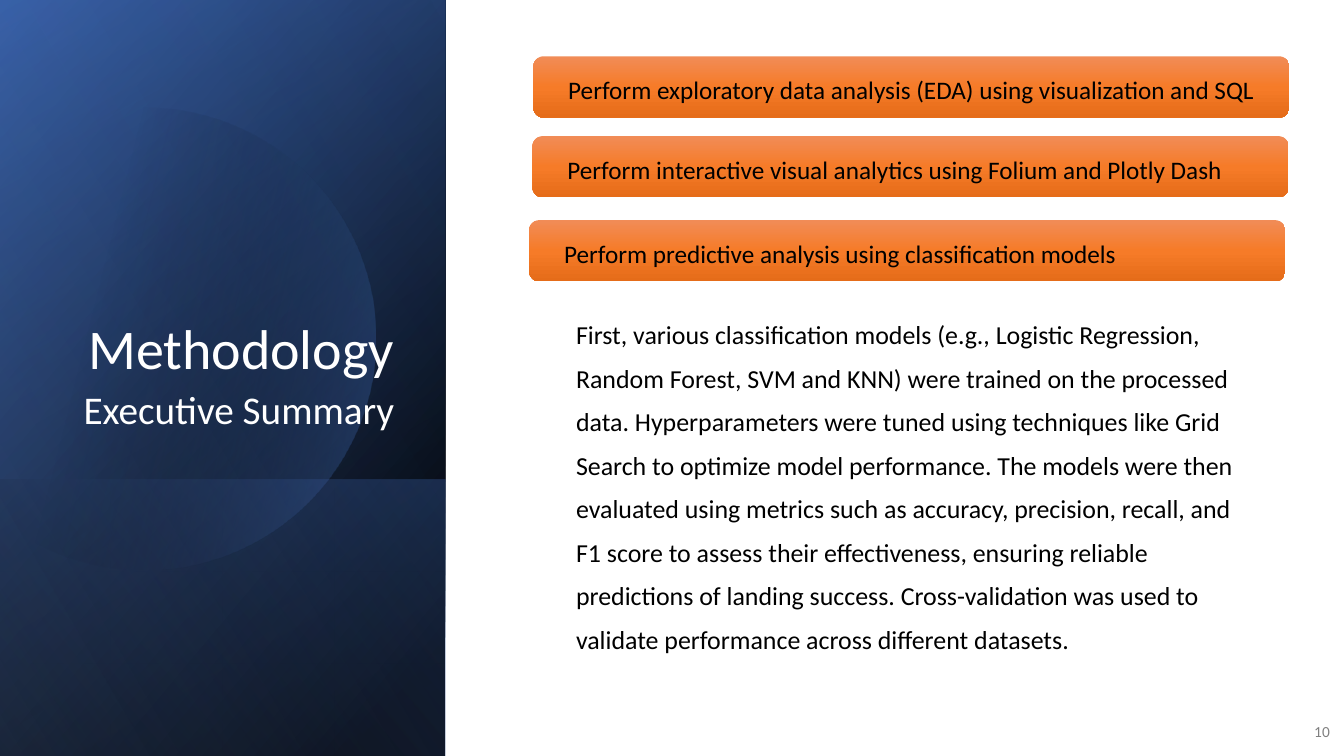
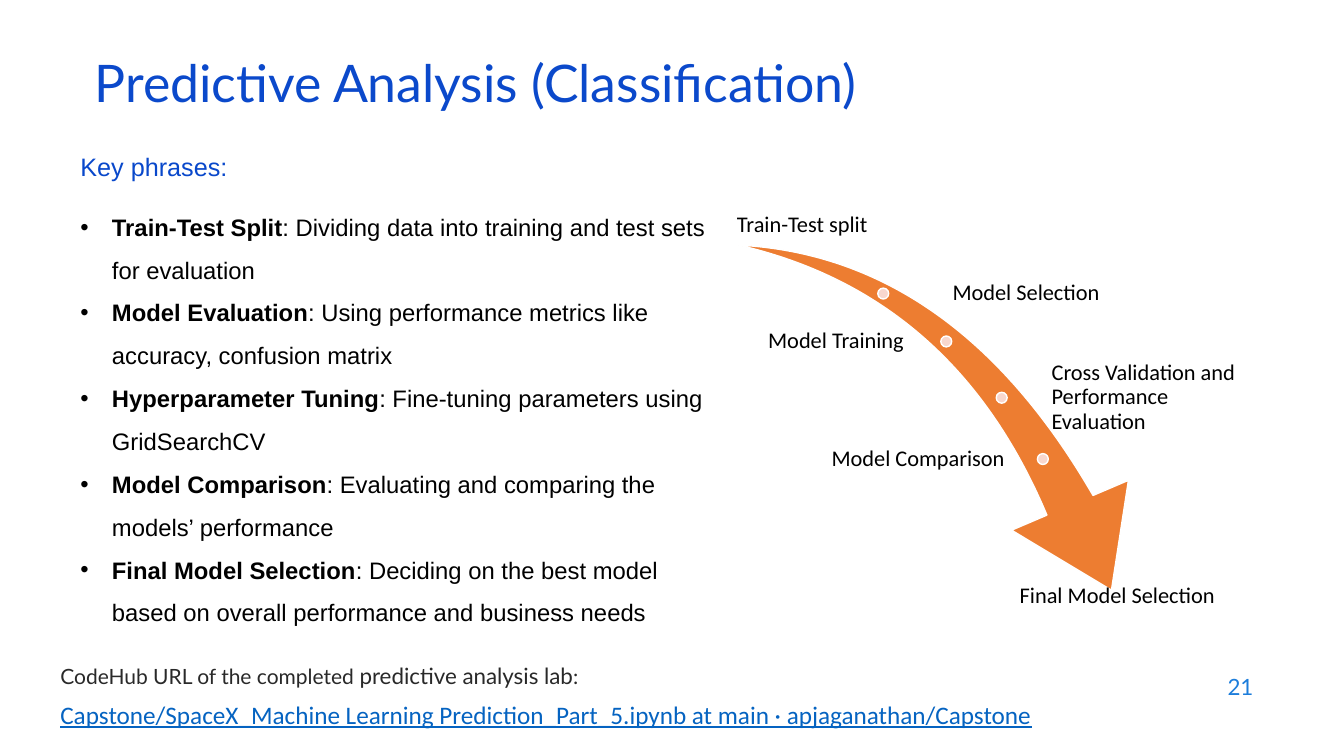
from math import acos, cos, sin

from pptx import Presentation
from pptx.dml.color import RGBColor
from pptx.enum.shapes import MSO_SHAPE as Shape
from pptx.enum.text import MSO_ANCHOR as Anchor, PP_ALIGN as Align
from pptx.oxml import parse_xml
from pptx.oxml.ns import nsdecls, qn
from pptx.util import Inches, Pt

COLUMNS, ROWS = 160, 90
CELL = Inches(7.5) / ROWS
WHITE, BLACK, GRAY, CHARCOAL = "FFFFFF", "000000", "808080", "292929"
TITLE_BLUE, KEY_BLUE, NUMBER_BLUE, LINK_BLUE = "0B49CB", "0948CB", "1C7DDB", "0563C1"
NAVY, BLUE, PALE_BLUE = "2F5597", "4472C4", "8FAADC"
ORANGE, PEACH = "ED7D31", "F8D7CE"
BAR_STOPS = [(0, "F18C57", 100), (50, "F67B28", 100), (100, "E56C19", 100)]


def grid(*cells):
    return [round(cell * CELL) for cell in cells]


def rgb(value):
    return RGBColor.from_string(value)


class Deck:
    """Holds the style and the current slide of the presentation."""

    def __init__(self):
        self.presentation = Presentation()
        self.presentation.slide_width, self.presentation.slide_height = grid(COLUMNS, ROWS)
        self.slide = None

    def new_slide(self):
        layout = self.presentation.slide_layouts[6]
        self.slide = self.presentation.slides.add_slide(layout)

    def paint(self, shape, fill, line=None):
        shape.shadow.inherit = False
        shape.fill.solid()
        shape.fill.fore_color.rgb = rgb(fill)
        if line:
            shape.line.color.rgb = rgb(line)
            shape.line.width = Pt(1)
        else:
            shape.line.fill.background()

    def gradient(self, shape, stops, angle):
        self.paint(shape, WHITE)
        marks = "".join(
            f'<a:gs pos="{position * 1000}"><a:srgbClr val="{color}">'
            f'<a:alpha val="{opacity * 1000}"/></a:srgbClr></a:gs>'
            for position, color, opacity in stops)
        fill = parse_xml(
            f'<a:gradFill {nsdecls("a")} rotWithShape="1"><a:gsLst>{marks}</a:gsLst>'
            f'<a:lin ang="{angle * 60000}" scaled="0"/></a:gradFill>')
        properties = shape.element.spPr
        properties.replace(properties.find(qn("a:solidFill")), fill)

    def shape(self, kind, at, fill, line=None):
        shape = self.slide.shapes.add_shape(kind, *grid(*at))
        self.paint(shape, fill, line)
        return shape

    def panel(self, top, width, stops, angle):
        height = ROWS - top
        at = ((width - height) / 2, top + (height - width) / 2, height, width)
        panel = self.shape(Shape.RECTANGLE, at, WHITE)
        panel.rotation = 90
        panel.element.spPr.get_or_add_xfrm().set("flipH", "1")
        self.gradient(panel, stops, angle)

    def disc(self, center_x, center_y, radius, stops, angle):
        limit = acos(-center_x / radius)
        steps = 120
        angles = [limit * (2 * step / steps - 1) for step in range(steps + 1)]
        points = [grid(center_x + radius * cos(turn), center_y + radius * sin(turn))
                  for turn in angles]
        builder = self.slide.shapes.build_freeform(*points[0])
        builder.add_line_segments(points[1:], close=True)
        self.gradient(builder.convert_to_shape(), stops, angle)

    def frame(self, shape, anchor, insets):
        frame = shape.text_frame
        frame.word_wrap = True
        frame.vertical_anchor = anchor
        (frame.margin_left, frame.margin_top,
         frame.margin_right, frame.margin_bottom) = grid(*insets)
        return frame

    def box(self, at, anchor=Anchor.TOP, insets=(1.2, 0.6, 1.2, 0.6)):
        return self.frame(self.slide.shapes.add_textbox(*grid(*at)), anchor, insets)

    def add_text(self, frame, text, size=18, font="Calibri", color=BLACK, align=Align.LEFT,
                 spacing=None, before=None, after=None, indent=0, bullet=None,
                 underline=None):
        paragraph = frame.add_paragraph() if frame.text else frame.paragraphs[0]
        paragraph.alignment = align
        if spacing:
            paragraph.line_spacing = spacing
        if before:
            paragraph.space_before = Pt(before)
        if after:
            paragraph.space_after = Pt(after)
        properties = paragraph._p.get_or_add_pPr()
        if indent:
            properties.set("marL", str(grid(indent)[0]))
        if bullet:
            properties.set("indent", str(-grid(indent)[0]))
            properties.append(parse_xml(f'<a:buFont {nsdecls("a")} typeface="Arial"/>'))
            properties.append(parse_xml(f'<a:buChar {nsdecls("a")} char="{bullet}"/>'))
        runs = [(text, {})] if isinstance(text, str) else text
        for words, changes in runs:
            run = paragraph.add_run()
            run.text = words
            run.font.name = font
            run.font.size = Pt(changes.get("size", size))
            run.font.bold = changes.get("bold")
            run.font.underline = underline
            run.font.color.rgb = rgb(color)

    def bar(self, left, top, text):
        bar = self.shape(Shape.ROUNDED_RECTANGLE, (left, top, 90, 7.3), WHITE)
        self.gradient(bar, BAR_STOPS, 90)
        self.add_text(self.frame(bar, Anchor.MIDDLE, (3.8, 0.6, 2, 0)), text)

    def number(self, at, text, **style):
        self.add_text(self.box(at, Anchor.MIDDLE), text, align=Align.RIGHT, **style)

    def label(self, at, text, anchor=Anchor.MIDDLE, align=Align.LEFT):
        frame = self.box((*at, 9.7), anchor, (0.2,) * 4)
        self.add_text(frame, text, size=16, align=align, spacing=0.9)


def methodology(deck):
    deck.new_slide()
    width = 53
    deck.panel(0, width, [(8, BLACK, 100), (100, NAVY, 100)], 50)
    deck.panel(0, width, [(0, BLACK, 0), (99, BLUE, 46)], 30)
    deck.panel(57.1, width, [(2, BLUE, 29), (100, BLACK, 30)], 130)
    deck.disc(17.2, 40.3, 27.5, [(29, BLACK, 0), (100, BLUE, 43)], 14)
    deck.panel(0, width, [(0, BLACK, 0), (99, PALE_BLUE, 11)], 120)

    title = deck.box((6.1, 7.7, 42, 44.4), Anchor.BOTTOM)
    for text, size in (("Methodology", 40), ("Executive Summary", 28)):
        deck.add_text(title, text, size=size, color=WHITE, align=Align.RIGHT,
                      spacing=0.9, after=6)

    body = deck.box((64.4, 34.7, 86, 45), Anchor.MIDDLE)
    deck.add_text(
        body,
        "First, various classification models (e.g., Logistic Regression, Random Forest, "
        "SVM and KNN) were trained on the processed data. Hyperparameters were tuned using "
        "techniques like Grid Search to optimize model performance. The models were then "
        "evaluated using metrics such as accuracy, precision, recall, and F1 score to assess "
        "their effectiveness, ensuring reliable predictions of landing success. "
        "Cross-validation was used to validate performance across different datasets.",
        size=18.5, spacing=1.4, indent=3)
    deck.number((153.6, 84.7, 5.9, 4.8), "10", size=11, color=GRAY)

    for left, top, text in (
            (63.5, 6.7, "Perform exploratory data analysis (EDA) using visualization and SQL"),
            (63.4, 16.2, "Perform interactive visual analytics using Folium and Plotly Dash"),
            (63, 26.2, "Perform predictive analysis using classification models")):
        deck.bar(left, top, text)


def predictive_analysis(deck):
    deck.new_slide()
    deck.number((114.4, 79.1, 36, 5.3), "21", size=16, font="Lato", color=NUMBER_BLUE)
    title = deck.box((10.1, 7.1, 138, 7.2), Anchor.MIDDLE)
    deck.add_text(title, "Predictive Analysis (Classification)", size=37, font="Lato",
                  color=TITLE_BLUE, spacing=0.7)

    source = deck.box((6, 78.2, 133.1, 9.7))
    deck.add_text(source, [("CodeHub URL of the completed ", {}),
                           ("predictive analysis lab", {"size": 16}), (":", {})],
                  size=15, font="Lato", color=CHARCOAL)
    deck.add_text(source, "Capstone/SpaceX_Machine Learning Prediction_Part_5.ipynb at main · "
                  "apjaganathan/Capstone", color=LINK_BLUE, spacing=0.9, before=10,
                  underline=True)

    phrases = deck.box((8.4, 17.4, 78.2, 57.7))
    deck.add_text(phrases, "Key phrases:", font="Arial", color=KEY_BLUE, after=12)
    for term, meaning in (
            ("Train-Test Split", "Dividing data into training and test sets for evaluation"),
            ("Model Evaluation", "Using performance metrics like accuracy, confusion matrix"),
            ("Hyperparameter Tuning", "Fine-tuning parameters using GridSearchCV"),
            ("Model Comparison", "Evaluating and comparing the models’ performance"),
            ("Final Model Selection", "Deciding on the best model based on overall "
             "performance and business needs")):
        deck.add_text(phrases, [(term, {"bold": True}), (f": {meaning}", {})], size=17,
                      font="Arial", spacing=1.5, indent=3.75, bullet="•")

    arrow = deck.shape(Shape.SWOOSH_ARROW, (86.8, 30.7, 52.1, 36.4), ORANGE, WHITE)
    arrow.rotation = 73.3
    arrow.adjustments[0], arrow.adjustments[1] = 0.163, 0.314
    for left, top in ((104.5, 34.3), (112, 40), (118.6, 46.7), (123.5, 54)):
        deck.shape(Shape.OVAL, (left, top, 1.3, 1.3), PEACH, WHITE)

    deck.label((83.2, 18.7, 24.6), "Train-Test split", Anchor.BOTTOM, Align.CENTER)
    deck.label((113.2, 30.1, 36.6), "Model Selection")
    deck.label((83.2, 35.8, 24.6), "Model Training", align=Align.RIGHT)
    deck.label((125, 42.5, 24.6), "Cross Validation and Performance Evaluation")
    deck.label((83.2, 49.8, 36.6), "Model Comparison", align=Align.RIGHT)
    deck.label((116.4, 69.4, 33.2), "Final Model Selection", Anchor.TOP, Align.CENTER)


def main():
    deck = Deck()
    methodology(deck)
    predictive_analysis(deck)
    deck.presentation.save("out.pptx")


if __name__ == "__main__":
    main()
